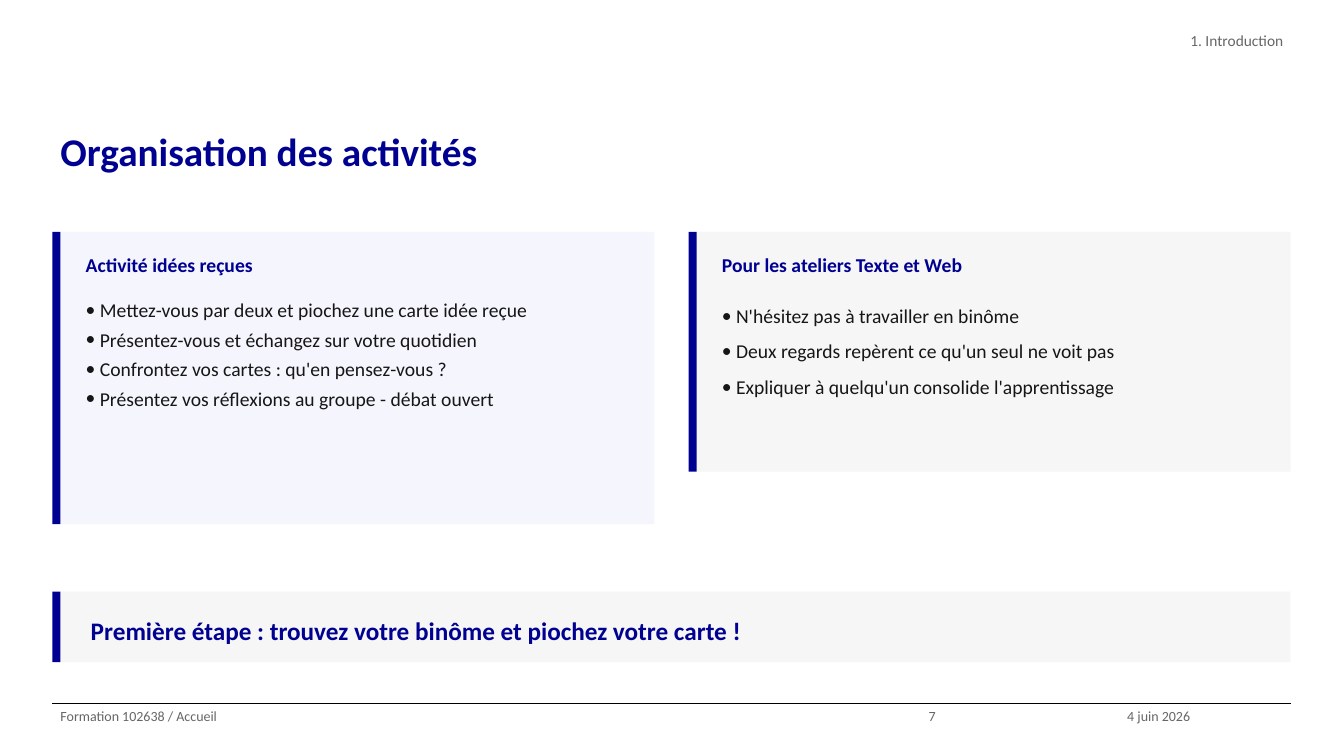
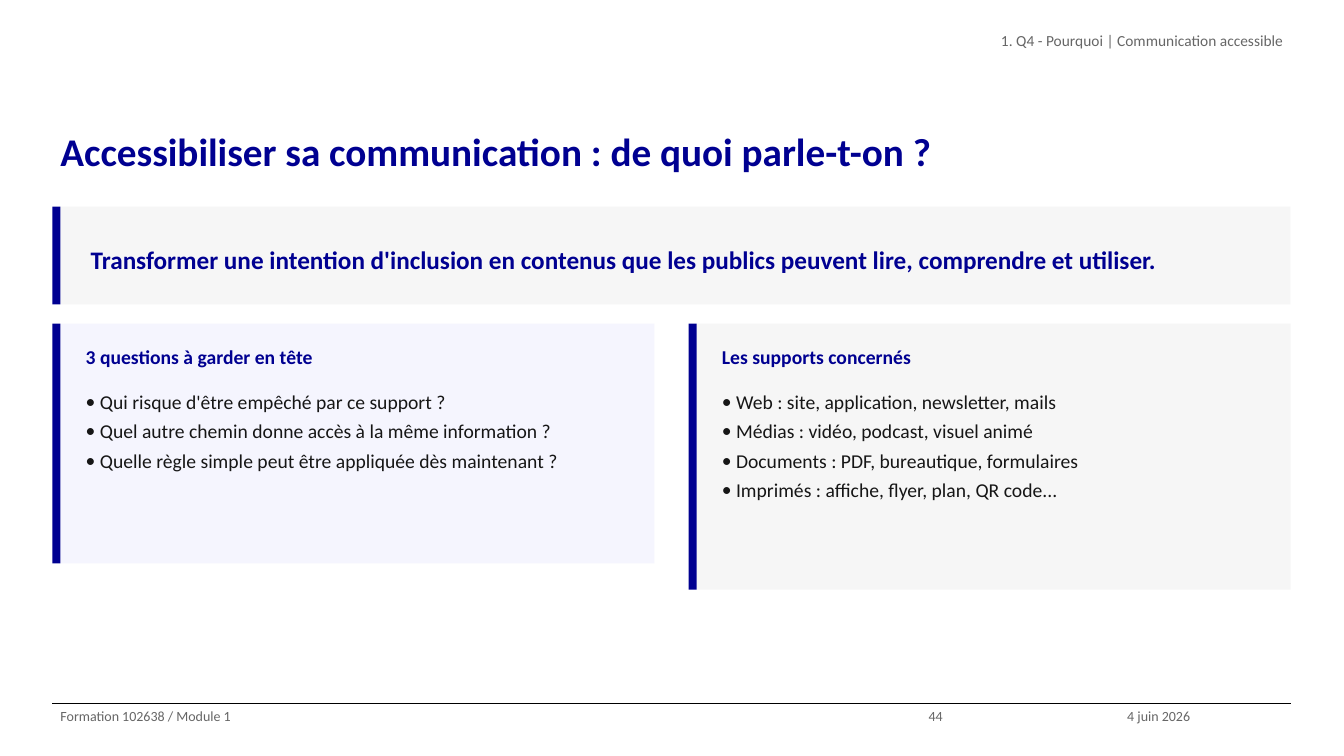
from lxml.etree import SubElement
from pptx import Presentation
from pptx.dml.color import RGBColor
from pptx.enum.shapes import MSO_CONNECTOR, MSO_SHAPE
from pptx.enum.text import MSO_ANCHOR, MSO_AUTO_SIZE, PP_ALIGN
from pptx.oxml.ns import qn
from pptx.util import Inches, Pt

COLORS = {"navy": "000091", "ink": "161616", "muted": "666666",
          "lavender": "F5F5FE", "gray": "F6F6F6", "rule": "000000"}
STYLES = {
    "title": ("navy", {"size": Pt(28), "bold": True}),
    "callout": ("navy", {"size": Pt(18), "bold": True}),
    "heading": ("navy", {"size": Pt(14), "bold": True}),
    "list": ("ink", {"size": Pt(14), "bold": False}),
    "section": ("muted", {"size": Pt(11), "bold": False}),
    "footer": ("muted", {"size": Pt(10), "bold": False}),
}
FONT = "Calibri"
LEFT, CONTENT_WIDTH = 0.52, 12.28
CARD_WIDTH = 5.97
CARD_LEFTS = (LEFT, LEFT + CONTENT_WIDTH - CARD_WIDTH)
CARD_FILLS = ("lavender", "gray")
BAR = 0.08
FOOTER_TOP, FOOTER_HEIGHT = 6.98, 0.52
COMPARISON_LAYOUT = 4

SLIDES = [
    {
        "section": "1. Introduction",
        "title": "Organisation des activités",
        "callout": ("Première étape : trouvez votre binôme et piochez votre carte !", 5.87, 0.7),
        "cards_top": 2.3,
        "cards": [
            ("Activité idées reçues", 2.9, 1.25, [
                "Mettez-vous par deux et piochez une carte idée reçue",
                "Présentez-vous et échangez sur votre quotidien",
                "Confrontez vos cartes : qu'en pensez-vous ?",
                "Présentez vos réflexions au groupe - débat ouvert"]),
            ("Pour les ateliers Texte et Web", 2.38, 1.5, [
                "N'hésitez pas à travailler en binôme",
                "Deux regards repèrent ce qu'un seul ne voit pas",
                "Expliquer à quelqu'un consolide l'apprentissage"]),
        ],
        "footer": ("Formation 102638 / Accueil", "7", "4 juin 2026"),
    },
    {
        "section": "1. Q4 - Pourquoi | Communication accessible",
        "title": "Accessibiliser sa communication : de quoi parle-t-on ?",
        "callout": ("Transformer une intention d'inclusion en contenus que les publics "
                    "peuvent lire, comprendre et utiliser.", 2.05, 0.97),
        "cards_top": 3.21,
        "cards": [
            ("3 questions à garder en tête", 2.38, 1.25, [
                "Qui risque d'être empêché par ce support ?",
                "Quel autre chemin donne accès à la même information ?",
                "Quelle règle simple peut être appliquée dès maintenant ?"]),
            ("Les supports concernés", 2.64, 1.25, [
                "Web : site, application, newsletter, mails",
                "Médias : vidéo, podcast, visuel animé",
                "Documents : PDF, bureautique, formulaires",
                "Imprimés : affiche, flyer, plan, QR code..."]),
        ],
        "footer": ("Formation 102638 / Module 1", "44", "4 juin 2026"),
    },
]


def color(name):
    """Return the palette colour with this name."""
    return RGBColor.from_string(COLORS[name])


def set_bullet(paragraph, bulleted):
    """Give the paragraph a hanging bullet, or none."""
    properties = paragraph._p.get_or_add_pPr()
    indent = Inches(0.14) if bulleted else 0
    properties.set("marL", str(indent))
    properties.set("indent", str(-indent))
    if bulleted:
        SubElement(properties, qn("a:buFont"), typeface=FONT)
        SubElement(properties, qn("a:buChar"), char="•")
    else:
        SubElement(properties, qn("a:buNone"))


def write(holder, box, lines, style, inset=0.05, spacing=1.25,
          align=PP_ALIGN.LEFT, anchor=MSO_ANCHOR.TOP):
    """Place a text holder in its box and fill it with styled lines."""
    holder.left, holder.top, holder.width, holder.height = map(Inches, box)
    frame = holder.text_frame
    frame_format = {
        "word_wrap": True, "auto_size": MSO_AUTO_SIZE.NONE, "vertical_anchor": anchor,
        "margin_left": Inches(0.08), "margin_right": Inches(0.08),
        "margin_top": Inches(inset), "margin_bottom": Inches(inset)}
    paragraph_format = {"alignment": align, "line_spacing": spacing,
                        "space_before": Pt(0), "space_after": Pt(0)}
    color_name, font_format = STYLES[style]
    for name, value in frame_format.items():
        setattr(frame, name, value)
    for index, line in enumerate(lines):
        paragraph = frame.add_paragraph() if index else frame.paragraphs[0]
        set_bullet(paragraph, style == "list")
        for name, value in paragraph_format.items():
            setattr(paragraph, name, value)
        run = paragraph.add_run()
        run.text = line
        run.font.name = FONT
        run.font.color.rgb = color(color_name)
        for name, value in font_format.items():
            setattr(run.font, name, value)


def add_textbox(slide, box, line, style, **options):
    """Add a free text box holding one line."""
    write(slide.shapes.add_textbox(*map(Inches, box)), box, [line], style, **options)


def add_panel(slide, left, top, width, height, fill):
    """Draw a filled panel with a navy bar on its left edge."""
    for x, w, name in ((left + BAR, width - BAR, fill), (left, BAR, "navy")):
        area = slide.shapes.add_shape(
            MSO_SHAPE.RECTANGLE, *map(Inches, (x, top, w, height)))
        area.shadow.inherit = False
        area.fill.solid()
        area.fill.fore_color.rgb = color(name)
        area.line.fill.background()


def add_card(slide, box, fill, heading_holder, list_holder, heading, items, spacing):
    """Draw a panel and lay a heading and a bulleted list over it."""
    left, top, width, height = box
    add_panel(slide, *box, fill)
    for holder in (heading_holder, list_holder):
        slide.shapes._spTree.append(holder._element)
    text_left, text_width = left + 0.25, width - 0.35
    write(heading_holder, (text_left, top + 0.1, text_width, 0.35), [heading], "heading")
    write(list_holder, (text_left, top + 0.55, text_width, height - 0.65),
          items, "list", spacing=spacing)


def add_callout(slide, line, top, height):
    """Draw the full-width key message."""
    add_panel(slide, LEFT, top, CONTENT_WIDTH, height, "gray")
    add_textbox(slide, (LEFT + 0.3, top + 0.1, CONTENT_WIDTH - 0.4, height - 0.2),
                line, "callout", anchor=MSO_ANCHOR.MIDDLE)


def add_footer(slide, texts):
    """Draw the footer rule with course name, page number and date."""
    rule = slide.shapes.add_connector(
        MSO_CONNECTOR.STRAIGHT,
        *map(Inches, (LEFT, FOOTER_TOP, LEFT + CONTENT_WIDTH, FOOTER_TOP)))
    rule.line.color.rgb = color("rule")
    rule.line.width = Pt(0.8)
    SubElement(rule._element.spPr, qn("a:effectLst"))
    left = LEFT
    for text, width in zip(texts, (8.61, 1.97, 1.71)):
        add_textbox(slide, (left, FOOTER_TOP, width, FOOTER_HEIGHT), text, "footer", inset=0)
        left += width


def add_comparison(prs, content):
    """Build a slide with two cards and a key message."""
    slide = prs.slides.add_slide(prs.slide_layouts[COMPARISON_LAYOUT])
    title, *holders = slide.placeholders
    write(title, (LEFT, 1.15, CONTENT_WIDTH, 1.05), [content["title"]], "title", inset=0)
    add_textbox(slide, (4.83, 0.26, 7.98, 0.52), content["section"], "section",
                inset=0, align=PP_ALIGN.RIGHT)
    add_callout(slide, *content["callout"])
    columns = zip(CARD_LEFTS, CARD_FILLS, holders[::2], holders[1::2], content["cards"])
    for left, fill, heading_holder, list_holder, card in columns:
        heading, height, spacing, items = card
        add_card(slide, (left, content["cards_top"], CARD_WIDTH, height), fill,
                 heading_holder, list_holder, heading, items, spacing)
    add_footer(slide, content["footer"])


def main():
    """Build and save the presentation."""
    prs = Presentation()
    prs.slide_width, prs.slide_height = Inches(13.33), Inches(7.5)
    for content in SLIDES:
        add_comparison(prs, content)
    prs.save("out.pptx")


if __name__ == "__main__":
    main()
